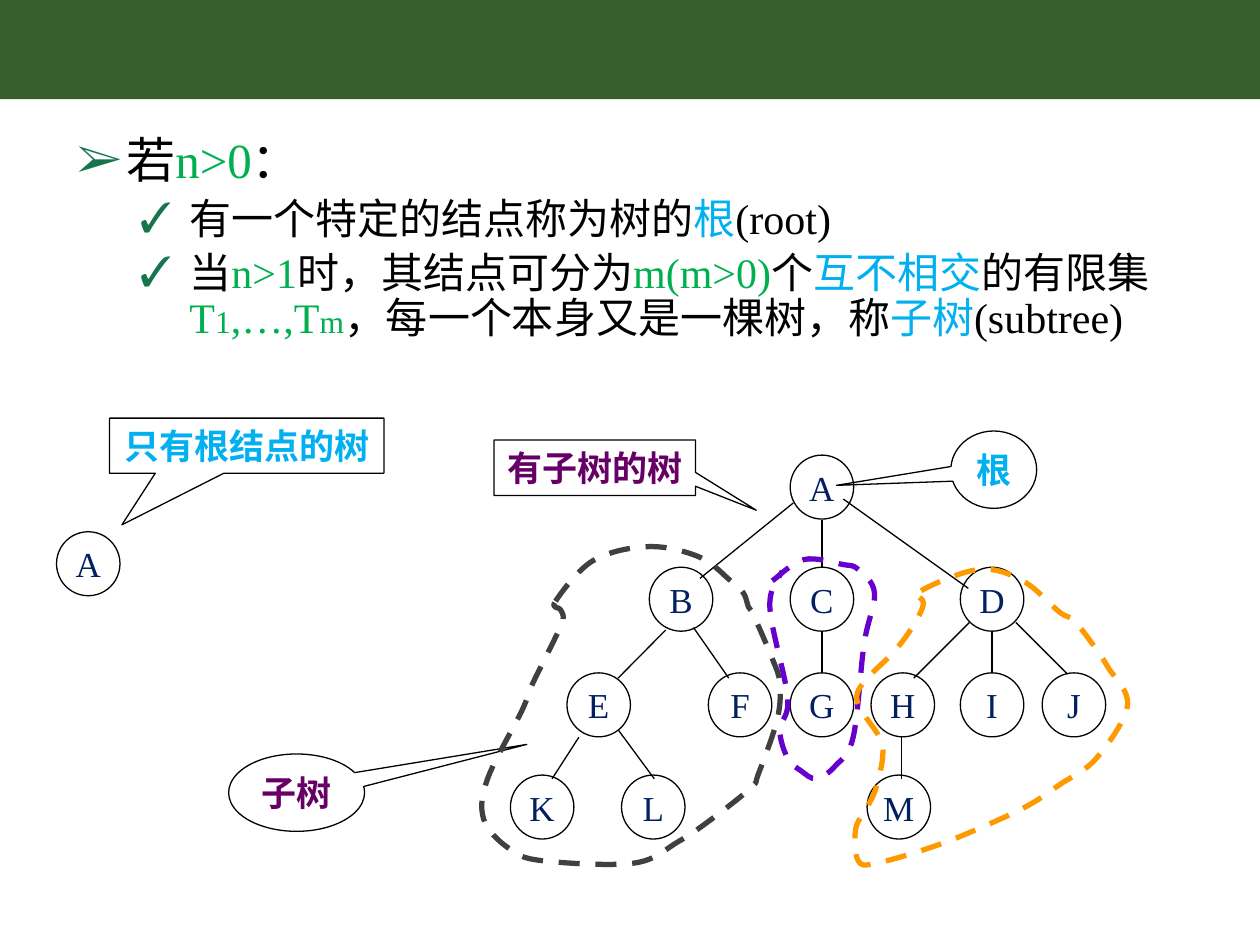
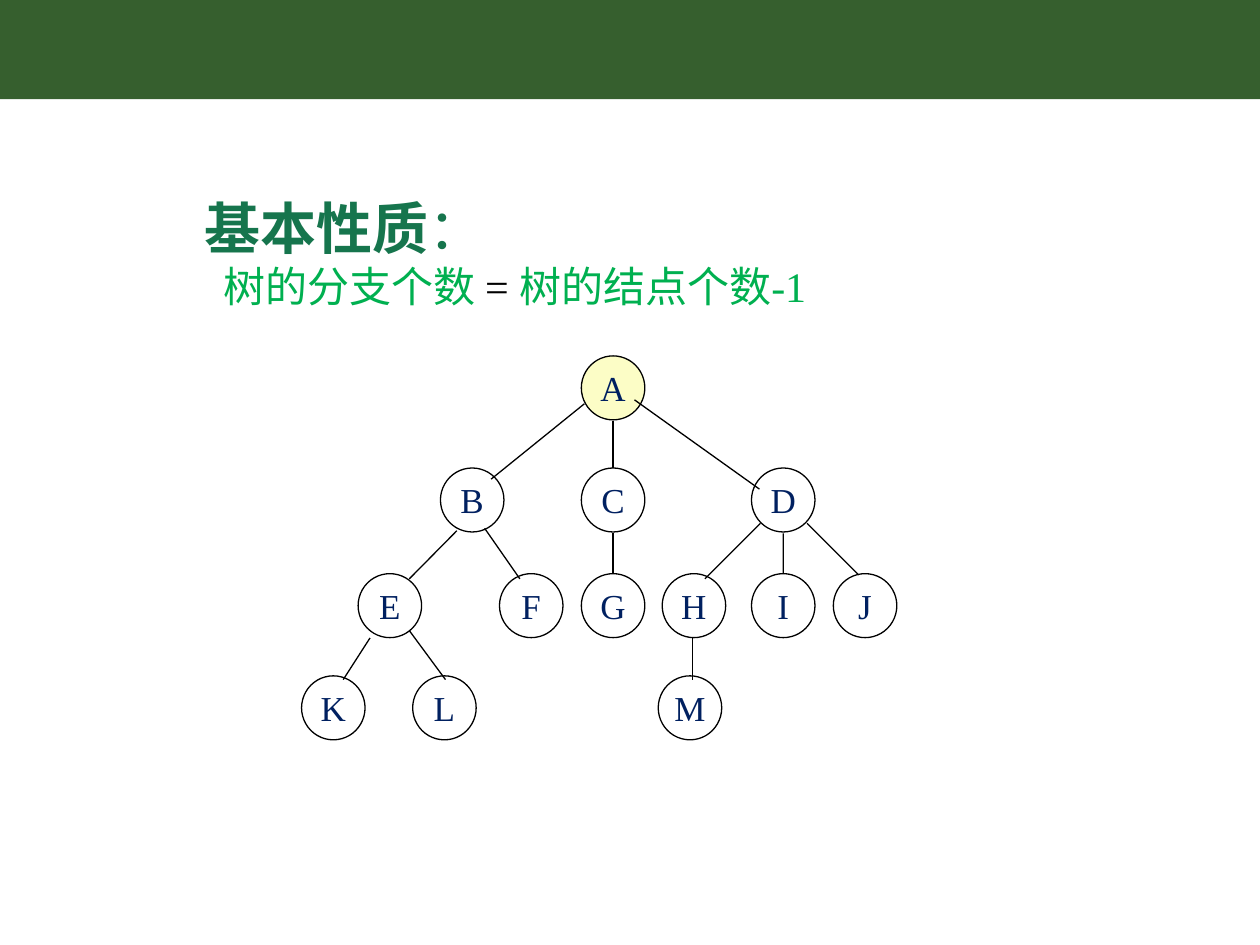
import pptx
import pptx.dml.color
import pptx.enum.dml
import pptx.enum.shapes
import pptx.enum.text
import pptx.oxml
import pptx.oxml.ns
import pptx.util

Cm, Pt = pptx.util.Cm, pptx.util.Pt
SHAPE = pptx.enum.shapes.MSO_SHAPE
NAMESPACE = pptx.oxml.ns.nsdecls("a")
FONT = "Times New Roman"
COLORS = {
    "band": "365F2E", "heading": "16754D", "black": "000000", "green": "00B050",
    "sky": "00B0F0", "navy": "002060", "plum": "660066", "cream": "FCFDC6",
    "gray": "404040", "violet": "6600CC", "orange": "FF9900",
}
RGB = {name: pptx.dml.color.RGBColor.from_string(value) for name, value in COLORS.items()}


def add_text(para, text, color="black", size=24, bold=False):
    span = para.add_run()
    span.text = text
    span.font.name = FONT
    span.font.size = Pt(size)
    span.font.bold = bold
    span.font.color.rgb = RGB[color]


def round_corners(outline, closed):
    """Turn the straight segments of a freeform into a smooth Bezier curve."""
    points = [(int(pt.get("x")), int(pt.get("y")))
              for pt in outline._element.iter(pptx.oxml.ns.qn("a:pt"))]
    before, after = (points[-2], points[1]) if closed else (points[0], points[-1])
    padded = [before, *points, after]
    segments = list(outline._element.iter(pptx.oxml.ns.qn("a:lnTo")))
    for segment, p0, p1, p2, p3 in zip(segments, padded, padded[1:], padded[2:], padded[3:]):
        leave = [b + (c - a) / 6 for a, b, c in zip(p0, p1, p2)]
        arrive = [c - (d - b) / 6 for b, c, d in zip(p1, p2, p3)]
        pts = "".join(f'<a:pt x="{round(x)}" y="{round(y)}"/>' for x, y in (leave, arrive, p2))
        curve = pptx.oxml.parse_xml(f"<a:cubicBezTo {NAMESPACE}>{pts}</a:cubicBezTo>")
        segment.getparent().replace(segment, curve)


# Tree geometry in cm, measured from the centre of the root A
NODE_W, NODE_H = 1.28, 1.29
ROWS = [0, 2.26, 4.39, 6.45]
NODES = {
    "A": (0, 0), "B": (-2.84, 1), "C": (0, 1), "D": (3.43, 1),
    "E": (-4.5, 2), "F": (-1.65, 2), "G": (0, 2), "H": (1.63, 2), "I": (3.43, 2), "J": (5.08, 2),
    "K": (-5.64, 3), "L": (-3.4, 3), "M": (1.55, 3),
}
EDGES = {
    "AC": (0, 0.67, 0, 1.61), "CG": (0, 2.93, 0, 3.75), "DI": (3.43, 2.93, 3.43, 3.75),
    "DH": (2.97, 2.73, 1.85, 3.85), "DJ": (3.91, 2.73, 4.95, 3.77),
    "AD": (0.43, 0.24, 2.95, 2.04), "AB": (-0.58, 0.32, -2.46, 1.84),
    "BF": (-2.59, 2.83, -1.88, 3.85), "BE": (-3.15, 2.88, -4.11, 3.85),
    "EK": (-4.9, 5.04, -5.44, 5.88), "EL": (-4.11, 4.89, -3.38, 5.88),
    "HM": (1.6, 5.04, 1.6, 5.88),
}
# Centre of the root, fill of the root
TREES = [((16.57, 9.82), None), ((12.36, 7.82), "cream")]

deck = pptx.Presentation()
deck.slide_width, deck.slide_height = Cm(25.4), Cm(19.05)
pages = []

for (root_x, root_y), root_fill in TREES:
    page = deck.slides.add_slide(deck.slide_layouts[6])
    pages.append(page)
    band = page.shapes.add_shape(SHAPE.RECTANGLE, 0, 0, deck.slide_width, Cm(2))
    band.shadow.inherit = False
    band.fill.solid()
    band.fill.fore_color.rgb = RGB["band"]
    band.line.fill.background()

    circles = {}
    for name, (x, row) in NODES.items():
        circles[name] = page.shapes.add_shape(
            SHAPE.OVAL, Cm(root_x + x - NODE_W / 2), Cm(root_y + ROWS[row] - NODE_H / 2),
            Cm(NODE_W), Cm(NODE_H))
        add_text(circles[name].text_frame.paragraphs[0], name, "navy", 20)
    for (parent, child), (x1, y1, x2, y2) in EDGES.items():
        edge = page.shapes.add_connector(
            pptx.enum.shapes.MSO_CONNECTOR.STRAIGHT,
            Cm(root_x + x1), Cm(root_y + y1), Cm(root_x + x2), Cm(root_y + y2))
        if x2 == NODES[child][0]:
            edge.end_connect(circles[child], 0)
        edge.line.color.rgb = RGB["black"]
        edge.line.width = Pt(0.75)
        edge._element.spPr.append(pptx.oxml.parse_xml(f"<a:effectLst {NAMESPACE}/>"))
    if root_fill:
        circles["A"].fill.solid()
        circles["A"].fill.fore_color.rgb = RGB[root_fill]

definition_page, property_page = pages

# Lone root and callouts: shape, left, top, width, height, tip, text, colour
CALLOUTS = [
    (SHAPE.OVAL, 1.14, 10.72, NODE_W, NODE_H, (), "A", "navy"),
    (SHAPE.RECTANGULAR_CALLOUT, 2.21, 8.43, 5.53, 1.11, (-0.455, 1.438), "只有根结点的树", "sky"),
    (SHAPE.RECTANGULAR_CALLOUT, 9.96, 8.87, 4.06, 1.12, (0.802, 0.765), "有子树的树", "plum"),
    (SHAPE.OVAL_CALLOUT, 19.17, 8.69, 1.73, 1.56, (-1.834, 0.202), "根", "sky"),
    (SHAPE.OVAL_CALLOUT, 4.61, 15.2, 2.74, 1.56, (1.694, -0.624), "子树", "plum"),
]
for kind, left, top, width, height, tip, text, color in CALLOUTS:
    callout = definition_page.shapes.add_shape(kind, Cm(left), Cm(top), Cm(width), Cm(height))
    for index, value in enumerate(tip):
        callout.adjustments[index] = value
    add_text(callout.text_frame.paragraphs[0], text, color, 20, bold=bool(tip))

# Nodes and callouts share one look
for page in pages:
    for shape in page.shapes:
        if not shape.has_text_frame or not shape.text_frame.text:
            continue
        shape.shadow.inherit = False
        if shape.fill.type != pptx.enum.dml.MSO_FILL.SOLID:
            shape.fill.background()
        shape.line.color.rgb = RGB["black"]
        shape.line.width = Pt(0.75)
        shape.text_frame.word_wrap = False
        shape.text_frame.vertical_anchor = pptx.enum.text.MSO_ANCHOR.MIDDLE
        shape.text_frame.paragraphs[0].alignment = pptx.enum.text.PP_ALIGN.CENTER

# Dashed outlines around the three subtrees: colour, closed, anchors in cm
SUBTREES = [
    ("gray", True, [
        (11.2, 12.12), (11.96, 11.3), (13.08, 11.02), (14.1, 11.23), (14.73, 11.71),
        (14.99, 11.96), (15.09, 12.24), (15.19, 12.4), (15.57, 13.28), (15.72, 13.77),
        (15.67, 14.5), (15.29, 15.6), (15.14, 15.88), (14.35, 16.51), (13.67, 16.97),
        (12.78, 17.4), (10.92, 17.35), (10.24, 17.09), (9.75, 16.51), (9.83, 15.7),
        (10.52, 14.33), (10.72, 13.82), (11.15, 12.95), (11.35, 12.5), (11.3, 12.29)]),
    ("violet", False, [
        (15.57, 11.71), (16.21, 11.28), (16.99, 11.38), (17.3, 11.48), (17.63, 11.96),
        (17.42, 12.98), (17.2, 14.86), (16.84, 15.44), (16.46, 15.7), (16.15, 15.54),
        (15.88, 15.29), (15.72, 14.71), (15.88, 14.07), (15.52, 12.24), (15.77, 11.51)]),
    ("orange", True, [
        (18.57, 11.91), (19.74, 11.48), (20.62, 11.71), (21.36, 12.34), (21.64, 12.5),
        (22, 12.95), (22.33, 13.44), (22.73, 14.22), (22.1, 15.29), (21.36, 15.82),
        (20.83, 16.18), (20.17, 16.51), (18.95, 17.02), (17.68, 17.4), (17.3, 17.35),
        (17.25, 16.71), (17.48, 16.28), (17.68, 15.82), (17.79, 15.03), (17.42, 14.4),
        (17.27, 14.05), (17.46, 13.7), (18.03, 13.13), (18.42, 12.6), (18.62, 12.17)]),
]
for color, closed, anchors in SUBTREES:
    start, *rest = [(Cm(x), Cm(y)) for x, y in anchors]
    builder = definition_page.shapes.build_freeform(*start)
    builder.add_line_segments(rest + [start] if closed else rest, close=closed)
    outline = builder.convert_to_shape()
    round_corners(outline, closed)
    outline.shadow.inherit = False
    outline.fill.background()
    outline.line.color.rgb = RGB[color]
    outline.line.width = Pt(3)
    outline.line.dash_style = pptx.enum.dml.MSO_LINE.DASH

# Definition: level, bullet, left margin in cm, runs
DEFINITION = [
    (1, "➢", 1.9, [("若", "black", 28), ("n>0", "green", 28), ("：", "black", 28)]),
    (2, "✓", 3.17, [("有一个特定的结点称为树的",), ("根", "sky"), ("(root)",)]),
    (2, "✓", 3.17, [
        ("当",), ("n>1", "green"), ("时，其结点可分为",), ("m(m>0)", "green"), ("个",),
        ("互不相交", "sky"), ("的有限集",), ("T", "green"), ("1", "green", 18),
        (",…,T", "green"), ("m", "green", 18), ("，每一个本身又是一棵树，称",),
        ("子树", "sky"), ("(subtree)",)]),
]
box = definition_page.shapes.add_textbox(Cm(0.4), Cm(2.62), Cm(24.1), Cm(4.47))
box.text_frame.word_wrap = True
for index, (level, bullet, margin, runs) in enumerate(DEFINITION):
    para = box.text_frame.add_paragraph() if index else box.text_frame.paragraphs[0]
    para.level = level
    properties = para._p.get_or_add_pPr()
    properties.set("marL", str(Cm(margin)))
    properties.set("indent", str(Cm(-1)))
    for xml in (f'<a:buClr {NAMESPACE}><a:srgbClr val="{COLORS["heading"]}"/></a:buClr>',
                f'<a:buFont {NAMESPACE} typeface="{FONT}"/>',
                f'<a:buChar {NAMESPACE} char="{bullet}"/>'):
        properties.append(pptx.oxml.parse_xml(xml))
    para.line_spacing = 0.9
    if index:
        para.space_before = Pt(5)
    for run in runs:
        add_text(para, *run)

# Basic property
box = property_page.shapes.add_textbox(Cm(3.87), Cm(3.78), Cm(14.2), Cm(2.64))
box.text_frame.word_wrap = True
heading = box.text_frame.paragraphs[0]
add_text(heading, "基本性质", "heading", 32, bold=True)
add_text(heading, "：", "heading", 32)
formula = box.text_frame.add_paragraph()
formula._p.get_or_add_pPr().set("marL", str(Cm(0.39)))
add_text(formula, "树的分支个数 ", "green")
add_text(formula, "= ")
add_text(formula, "树的结点个数-1", "green")

deck.save("out.pptx")
